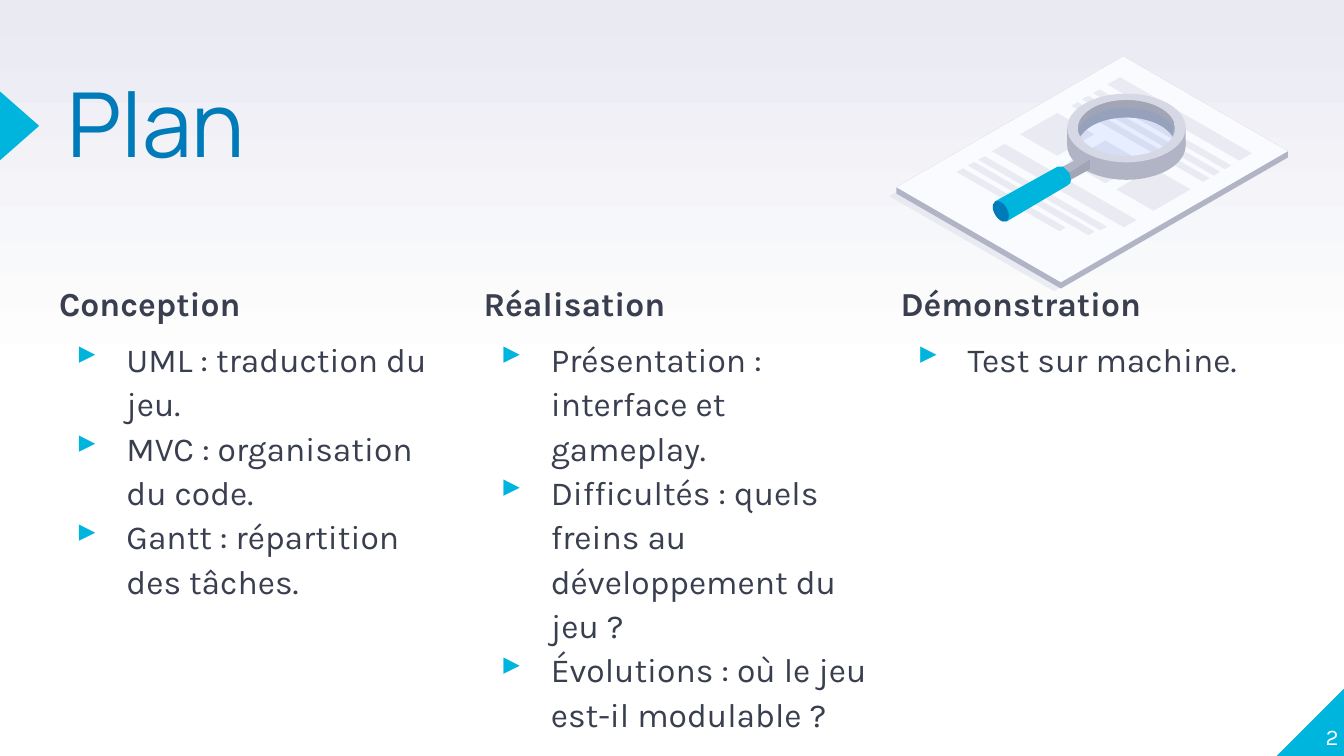
import math

from lxml import etree
from pptx import Presentation
from pptx.dml.color import RGBColor
from pptx.enum import shapes, text
from pptx.oxml.ns import qn
from pptx.util import Cm, Pt

CYAN, BLUE, INK, WHITE = "00B5DD", "007BB9", "3A3F50", "FFFFFF"
PALE, LIGHT, GREY, DARK = "E9EAF2", "D6D8E5", "B1B4C4", "A1A5B5"
SLOPE = 1 / math.sqrt(3)  # isometric slope

COLUMNS = [
    (1.12, 7.11, "Conception", [
        "UML : traduction du jeu.",
        "MVC : organisation du code.",
        "Gantt : répartition des tâches."]),
    (9.14, 7.52, "Réalisation", [
        "Présentation : interface et gameplay.",
        "Difficultés : quels freins au développement du jeu ?",
        "Évolutions : où le jeu est-il modulable ?"]),
    (17.02, 7.11, "Démonstration", ["Test sur machine."]),
]

# Lines of print on the sheet: left corner x, y, length, thickness
PRINT_LINES = [
    (20.93, 1.60, 2.49, 0.24), (20.66, 1.76, 2.49, 0.12),
    (20.45, 1.88, 2.49, 0.12), (20.25, 2.00, 2.49, 0.12),
    (18.75, 2.86, 2.49, 0.24), (18.49, 3.02, 2.31, 0.12),
    (18.29, 3.13, 2.28, 0.12), (18.08, 3.25, 1.94, 0.12),
]


def rgb(color):
    return RGBColor.from_string(color)


def paint(sp, color, alpha=None):
    sp.shadow.inherit = False
    sp.fill.solid()
    sp.fill.fore_color.rgb = rgb(color)
    sp.line.fill.background()
    if alpha is not None:
        clr = sp.element.spPr.find(qn("a:solidFill"))[0]
        etree.SubElement(clr, qn("a:alpha")).set("val", str(alpha * 1000))


def add_preset(parent, kind, x, y, w, h, color, rotation=0, alpha=None):
    sp = parent.add_shape(kind, Cm(x), Cm(y), Cm(w), Cm(h))
    sp.rotation = rotation
    paint(sp, color, alpha)
    return sp


def add_outline(parent, color, *contours, alpha=None):
    builder = None
    for contour in contours:
        first, *rest = [(Cm(x), Cm(y)) for x, y in contour]
        if builder is None:
            builder = parent.build_freeform(*first)
        else:
            builder.move_to(*first)
        builder.add_line_segments(rest, close=True)
    paint(builder.convert_to_shape(), color, alpha)


def arc(cx, cy, rx, ry, start=0, end=360, steps=48):
    angles = [math.radians(start + (end - start) * i / steps) for i in range(steps + 1)]
    return [(cx + rx * math.cos(a), cy + ry * math.sin(a)) for a in angles]


def iso_tile(x, y, length, width):
    """Isometric rectangle: left, bottom, right and top corners."""
    return [(x, y), (x + length, y + length * SLOPE),
            (x + length + width, y + (length - width) * SLOPE),
            (x + width, y - width * SLOPE)]


def add_textbox(s, x, y, w, h, anchor=text.MSO_ANCHOR.TOP):
    tf = s.shapes.add_textbox(Cm(x), Cm(y), Cm(w), Cm(h)).text_frame
    tf.margin_left = tf.margin_right = tf.margin_top = tf.margin_bottom = 0
    tf.word_wrap = True
    tf.vertical_anchor = anchor
    return tf


def add_run(p, words, size, font, color, bold=False):
    r = p.add_run()
    r.text = words
    r.font.size, r.font.name, r.font.bold = Pt(size), font, bold
    r.font.color.rgb = rgb(color)


def add_bullet(p):
    pPr = p._p.get_or_add_pPr()
    pPr.set("marL", str(Cm(1.27)))
    pPr.set("indent", str(Cm(-0.95)))
    clr = etree.SubElement(pPr, qn("a:buClr"))
    etree.SubElement(clr, qn("a:srgbClr")).set("val", CYAN)
    etree.SubElement(pPr, qn("a:buChar")).set("char", "▸")


def add_column(s, x, width, heading, items):
    tf = add_textbox(s, x, 5.28, width, 7.44)
    for i, words in enumerate([heading] + items):
        p = tf.paragraphs[0] if i == 0 else tf.add_paragraph()
        p.line_spacing = 1.1
        p.space_before = Pt(6 if i < 2 else 0)
        if i:
            add_bullet(p)
        add_run(p, words, 18, "Karla", INK, bold=i == 0)


def add_sheet(g):
    add_outline(g, LIGHT, iso_tile(16.81, 3.71, 3.11, 4.29), alpha=40)
    left, bottom, right, top = sheet = iso_tile(16.94, 3.54, 3.11, 4.29)
    lower = [(x, y + 0.12) for x, y in (left, bottom, right)]
    add_outline(g, GREY, [left, *lower, right, top])
    add_outline(g, "FAFBFF", sheet)
    for line in PRINT_LINES:
        add_outline(g, PALE, iso_tile(*line))
    for i in range(3):
        add_outline(g, PALE, iso_tile(19.28 + 0.91 * i, 2.54 + 0.52 * i, 0.7, 0.7))


def add_magnifier(g):
    cx, low, high = 21.29, 2.75, 2.42  # centres of the lower and upper rims

    def add_rim(cy, color):
        add_outline(g, color, arc(cx, cy, 1.12, 0.65), arc(cx, cy, 0.92, 0.53))

    # Lens
    add_rim(low, GREY)
    add_outline(g, DARK, arc(cx, low, 0.92, 0.53, 340, 200) + [
        (20.29, 2.41), (20.42, 2.11), (20.85, 1.85), (21.67, 1.88), (22.22, 2.21)])
    add_outline(g, GREY, [(20.17, low), (20.17, high), (20.35, 2.69)])
    add_outline(g, GREY, [(22.41, low), (22.41, high), (22.25, 2.57)])
    add_outline(g, "3E7EFF", arc(cx, 2.57, 0.93, 0.53), alpha=10)
    add_outline(g, GREY, arc(cx, low, 1.02, 0.58, 10, 170)
                + arc(cx, high, 1.02, 0.6, 160, 20))
    add_rim(high, LIGHT)

    # Handle
    def add_handle_end(color, alpha=None):
        add_preset(g, shapes.MSO_SHAPE.OVAL, 18.79, 3.78, 0.25, 0.43, color, 330, alpha)

    add_handle_end("000000", 10)
    add_outline(g, GREY, [(20.6, 3.02), (20.14, 3.3), (19.99, 3.2), (20.47, 2.95)])
    add_outline(g, DARK, [(20.6, 3.2), (20.14, 3.45), (20.14, 3.3), (20.6, 3.02)])
    add_outline(g, CYAN, [(20.24, 3.4), (20.21, 3.27), (20.09, 3.15), (19.99, 3.15),
                          (18.8, 3.81), (19.02, 4.19), (20.17, 3.51), (20.23, 3.46)])
    add_handle_end(BLUE)


def main():
    prs = Presentation()
    prs.slide_width, prs.slide_height = Cm(25.4), Cm(14.29)
    s = prs.slides.add_slide(prs.slide_layouts[6])

    # Background: white up to the middle, then tinted towards the top
    fill = s.background.fill
    fill.gradient()
    fill.gradient_angle = 90
    for stop, position, color in zip(fill.gradient_stops, (0.5, 1), (WHITE, PALE)):
        stop.position = position
        stop.color.rgb = rgb(color)

    # Corner and title marker
    corner = add_preset(s.shapes, shapes.MSO_SHAPE.RIGHT_TRIANGLE, 24.13, 12.99, 1.3, 1.3, CYAN)
    corner.element.spPr.find(qn("a:xfrm")).set("flipH", "1")
    add_preset(s.shapes, shapes.MSO_SHAPE.ISOSCELES_TRIANGLE, -0.28, 2.01, 1.3, 0.74, CYAN, 90)

    # Title and slide number
    p = add_textbox(s, 1.27, 1.68, 3.76, 1.55).paragraphs[0]
    p.line_spacing = 0.8
    add_run(p, "Plan", 48, "Manrope", BLUE)
    p = add_textbox(s, 24.03, 12.88, 1.27, 1.3, text.MSO_ANCHOR.BOTTOM).paragraphs[0]
    p.alignment = text.PP_ALIGN.RIGHT
    add_run(p, "2", 12, "Karla", WHITE)

    # Illustration
    g = s.shapes.add_group_shape().shapes
    add_sheet(g)
    add_magnifier(g)

    # Three columns
    for column in COLUMNS:
        add_column(s, *column)

    prs.save("out.pptx")


if __name__ == "__main__":
    main()
